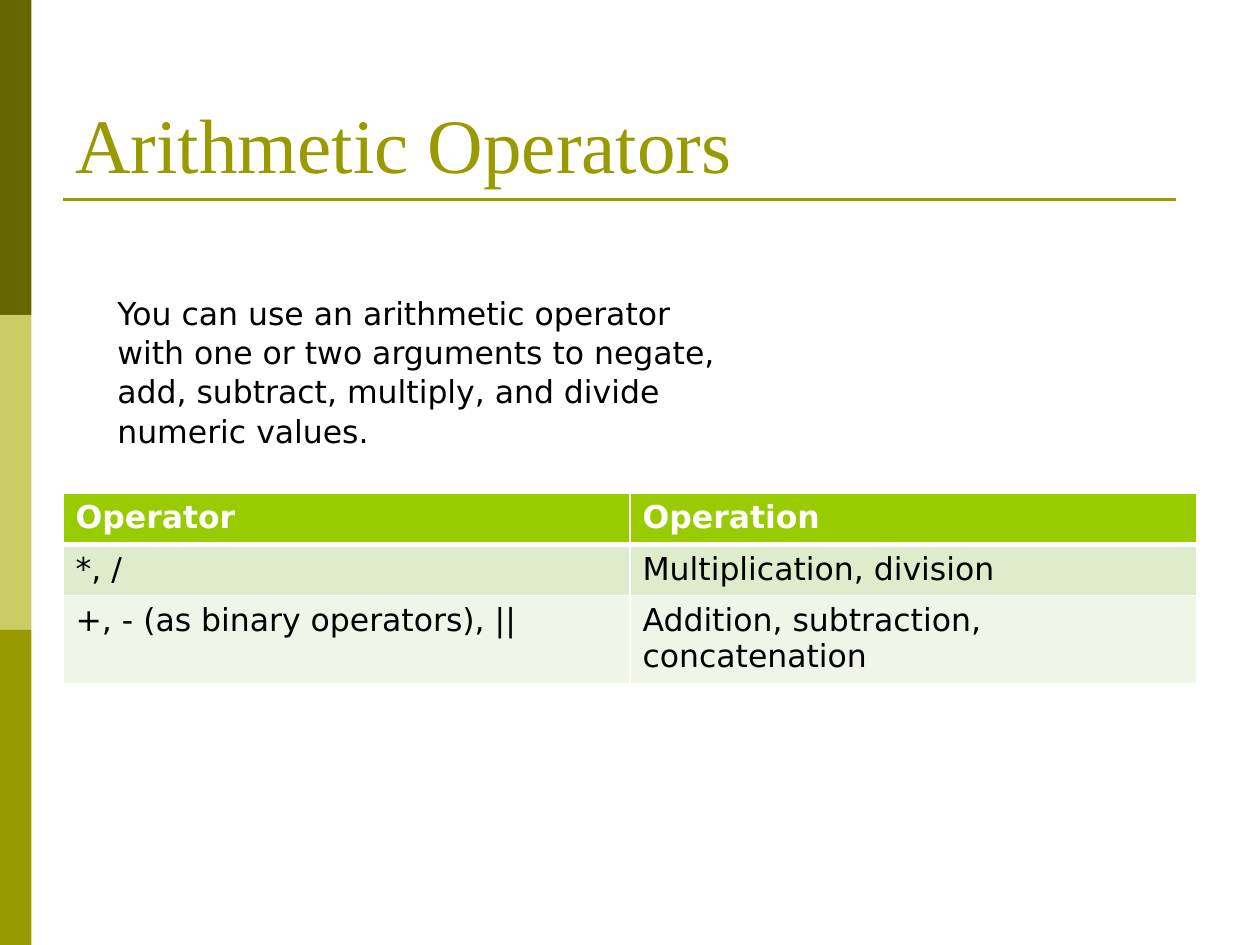
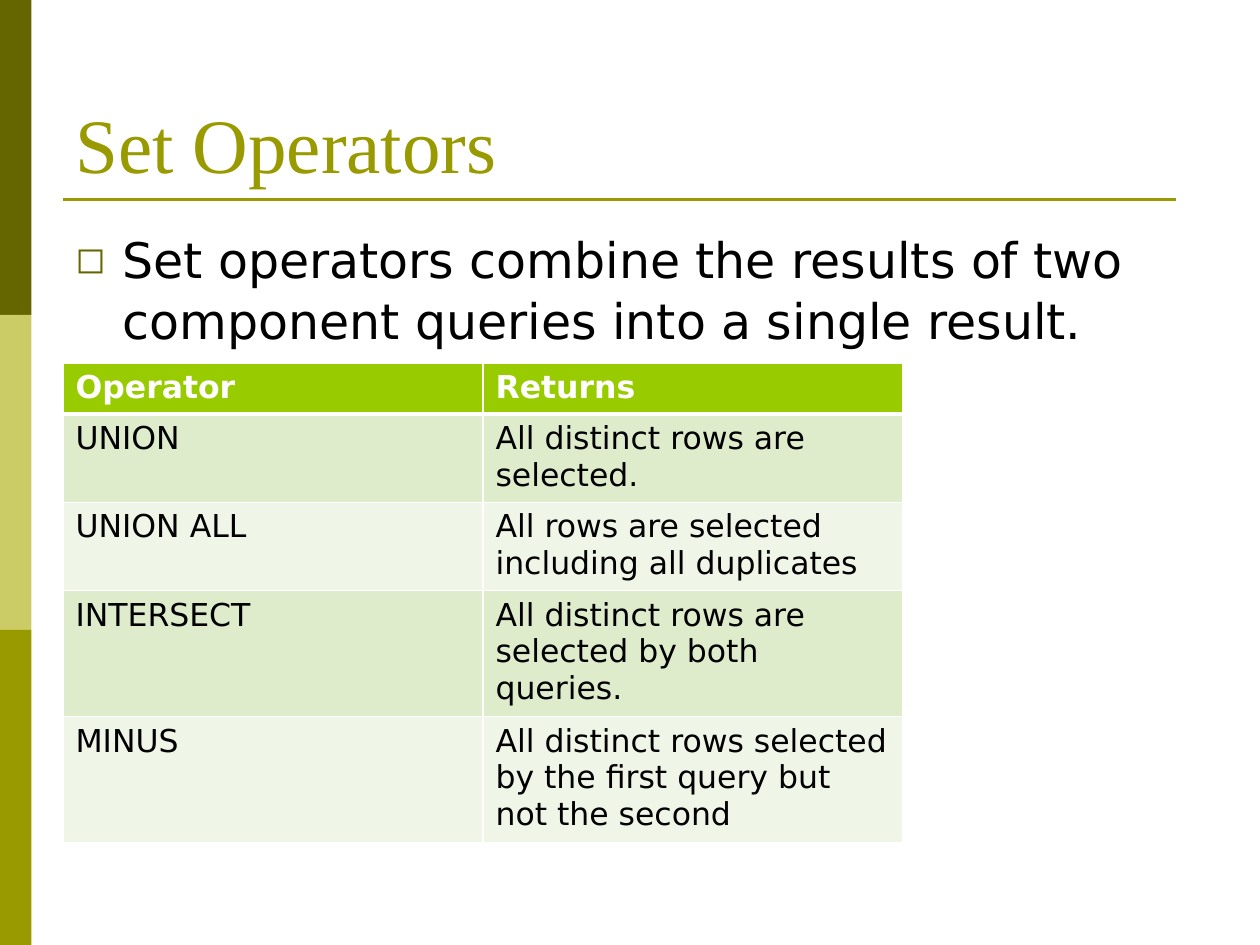
from lxml import etree
from pptx import Presentation
from pptx.dml.color import RGBColor
from pptx.enum.shapes import MSO_CONNECTOR, MSO_SHAPE
from pptx.enum.text import MSO_ANCHOR
from pptx.oxml.ns import qn
from pptx.util import Pt

RECT = MSO_SHAPE.RECTANGLE
LINE = MSO_CONNECTOR.STRAIGHT
TOP, BOTTOM = MSO_ANCHOR.TOP, MSO_ANCHOR.BOTTOM

COLORS = {
    "dark": "666600", "pale": "CCCC66", "olive": "999900",
    "head": "99CC00", "odd": "DEECCC", "even": "EFF6E7",
    "white": "FFFFFF", "black": "000000",
}
SERIF, SANS = "Times New Roman", "DejaVu Sans"
LEFT = 36


def rgb(name):
    return RGBColor.from_string(COLORS[name])


def add(parent, tag, **attrs):
    return etree.SubElement(parent, qn(tag), attrs)


class Deck:
    def __init__(self):
        self.prs = Presentation()
        self.prs.slide_width, self.prs.slide_height = Pt(720), Pt(540)
        self.slide = None

    def page(self, title):
        """Start a slide with side bands, title and rule."""
        self.slide = self.prs.slides.add_slide(self.prs.slide_layouts[6])
        for i, color in enumerate(("dark", "pale", "olive")):
            self.band(i * 180, color)
        self.rule(LEFT, 672, 114)
        self.text(title, LEFT, 21.6, 648, 90, 44, SERIF, "olive", BOTTOM)

    def band(self, top, color):
        shape = self.slide.shapes.add_shape(RECT, 0, Pt(top), Pt(18), Pt(180))
        shape.shadow.inherit = False
        shape.fill.solid()
        shape.fill.fore_color.rgb = rgb(color)
        shape.line.fill.background()

    def rule(self, start, end, y):
        line = self.slide.shapes.add_connector(
            LINE, Pt(start), Pt(y), Pt(end), Pt(y))
        line.line.color.rgb = rgb("olive")
        line.line.width = Pt(1.5)
        add(line._element.spPr, "a:effectLst")

    def font(self, para, size, face, color, bold=False):
        font = para.font
        font.size, font.name, font.bold = Pt(size), face, bold
        font.color.rgb = rgb(color)

    def text(self, words, left, top, width, height, size,
             face=SANS, color="black", anchor=TOP, space=1.0):
        box = self.slide.shapes.add_textbox(
            Pt(left), Pt(top), Pt(width), Pt(height))
        frame = box.text_frame
        frame.word_wrap = True
        frame.vertical_anchor = anchor
        para = frame.paragraphs[0]
        para.text = words
        para.line_spacing = space
        self.font(para, size, face, color)
        return para

    def bullet(self, words, left, top, width, height, size):
        para = self.text(words, left, top, width, height, size, space=1.04)
        props = para._p.get_or_add_pPr()
        props.set("marL", str(Pt(27)))
        props.set("indent", str(-Pt(27)))
        # Bullet marks go before the default run properties
        run = props.find(qn("a:defRPr"))
        marks = [
            add(props, "a:buClr"),
            add(props, "a:buSzPct", val="75000"),
            add(props, "a:buFont", typeface=SANS),
            add(props, "a:buChar", char="◻"),
        ]
        add(marks[0], "a:srgbClr", val=COLORS["dark"])
        if run is not None:
            for mark in marks:
                run.addprevious(mark)

    def border(self, cell, top, bottom):
        props = cell._tc.get_or_add_tcPr()
        for side, width in zip("LRTB", (1, 1, top, bottom)):
            line = add(props, f"a:ln{side}", w=str(Pt(width)))
            fill = add(line, "a:solidFill")
            add(fill, "a:srgbClr", val=COLORS["white"])

    def table(self, rows, top, width, heights):
        count = len(rows[0])
        table = self.slide.shapes.add_table(
            len(rows), count, Pt(LEFT), Pt(top), Pt(width),
            Pt(sum(heights))).table
        for col in table.columns:
            col.width = Pt(width / count)
        for r, row in enumerate(rows):
            table.rows[r].height = Pt(heights[r])
            head = r == 0
            back = "head" if head else "odd" if r % 2 else "even"
            for c, words in enumerate(row):
                cell = table.cell(r, c)
                # The thick edge lies between heading and first row
                self.border(cell, 3 if r == 1 else 1, 3 if head else 1)
                cell.fill.solid()
                cell.fill.fore_color.rgb = rgb(back)
                para = cell.text_frame.paragraphs[0]
                para.text = words
                self.font(para, 18, SANS, "white" if head else "black", head)


def main():
    deck = Deck()

    # Arithmetic operators
    deck.page("Arithmetic Operators")
    deck.table([
        ("Operator", "Operation"),
        ("*, /", "Multiplication, division"),
        ("+, - (as binary operators), ||",
         "Addition, subtraction, concatenation"),
    ], 282, 648, [29.2] * 3)
    deck.text("You can use an arithmetic operator with one or two arguments "
              "to negate, add, subtract, multiply, and divide numeric values.",
              60, 163.5, 360, 94.5, 18, space=1.04)

    # Set operators
    deck.page("Set Operators")
    deck.bullet("Set operators combine the results of two component queries "
                "into a single result.", LEFT, 126, 648, 356, 28)
    deck.table([
        ("Operator", "Returns"),
        ("UNION", "All distinct rows are selected."),
        ("UNION ALL", "All rows are selected including all duplicates"),
        ("INTERSECT", "All distinct rows are selected by both queries."),
        ("MINUS",
         "All distinct rows selected by the first query but not the second"),
    ], 207.4, 480, [29.2] * 5)

    deck.prs.save("out.pptx")


if __name__ == "__main__":
    main()
